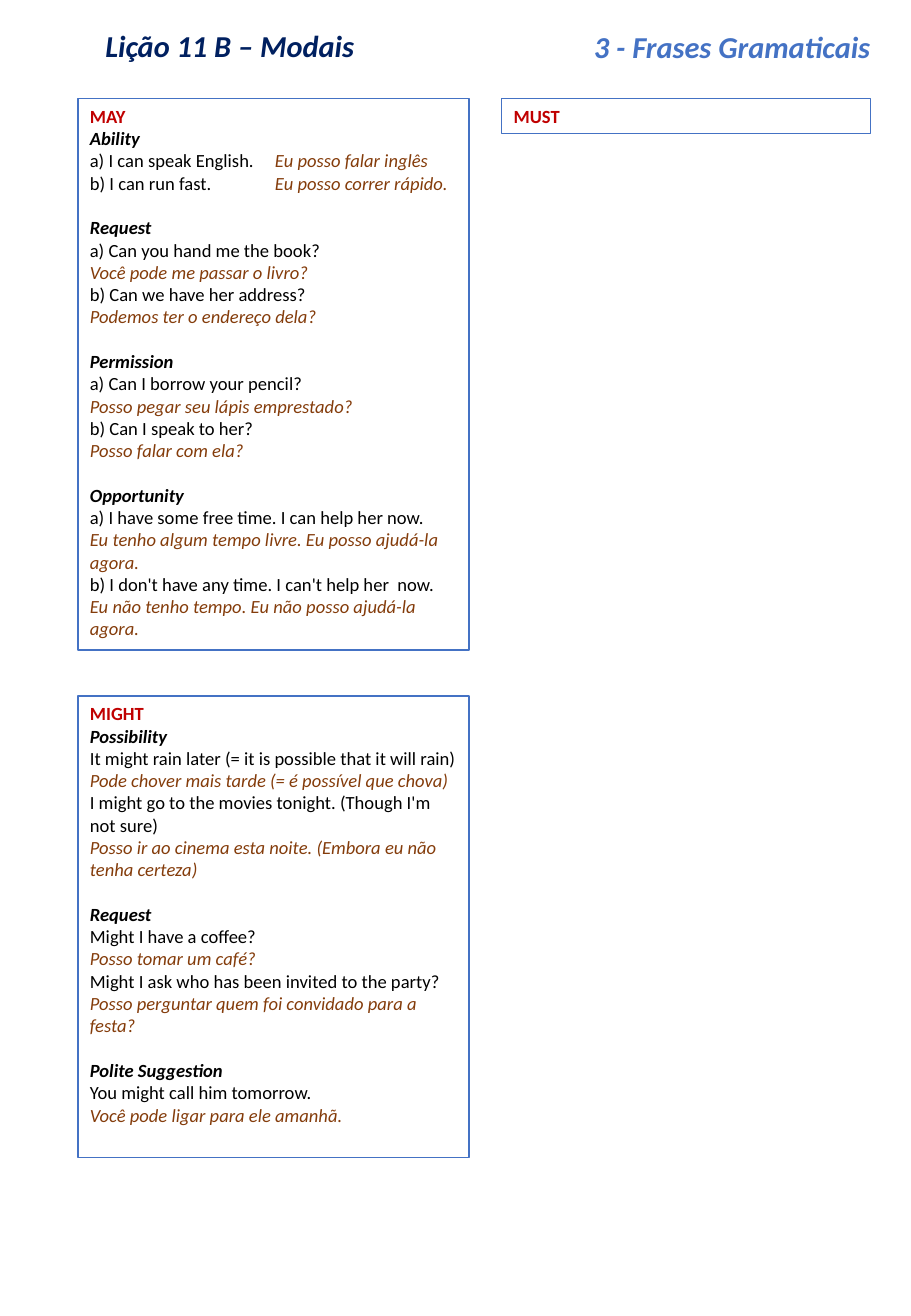
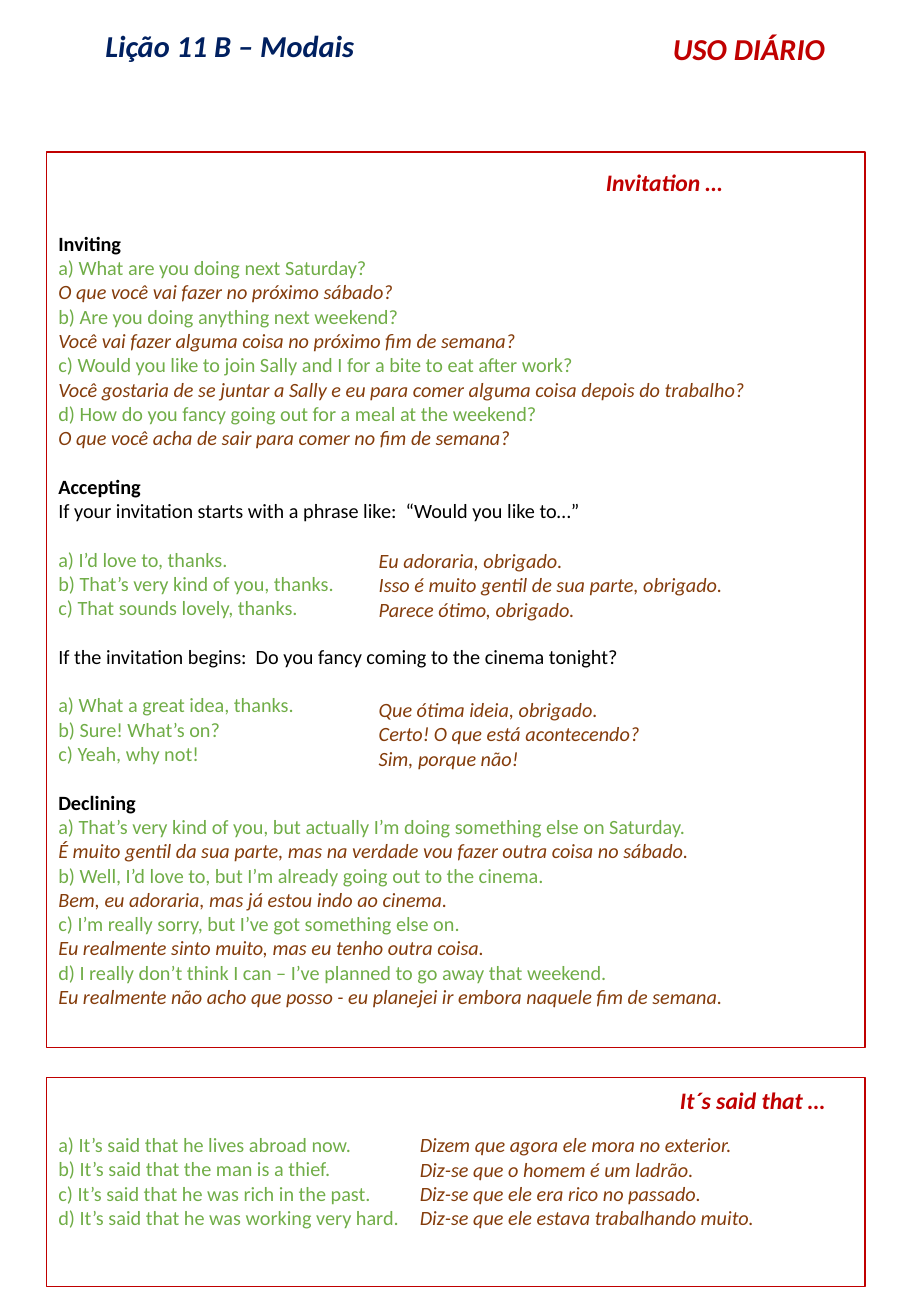
"""Build two pages of an English lesson on modals and everyday invitations."""
from lxml.etree import SubElement
from pptx import Presentation
from pptx.dml.color import RGBColor
from pptx.enum.shapes import MSO_SHAPE as SHAPE
from pptx.enum.text import MSO_ANCHOR as ANCHOR, MSO_AUTO_SIZE as AUTO, PP_ALIGN as ALIGN
from pptx.oxml.ns import qn
from pptx.util import Cm, Pt

FONT = "Calibri"
COLORS = {
    "navy": "002060",
    "blue": "4472C4",
    "red": "C00000",
    "black": "000000",
    "brown": "843C0B",
    "green": "70AD47",
}
STYLES = {
    "lesson": {"color": "navy", "bold": True, "italic": True},
    "section": {"color": "blue", "bold": True, "italic": True},
    "daily": {"color": "red", "bold": True, "italic": True},
    "modal": {"color": "red", "bold": True},
    "use": {"color": "black", "bold": True, "italic": True},
    "topic": {"color": "black", "bold": True},
    "plain": {"color": "black"},
    "phrase": {"color": "green"},
    "translation": {"color": "brown", "italic": True},
}
LINE_HEIGHT = 1.2
TRANSLATION_TAB = Cm(3.87)


def add_span(para, text, size=12, color="black", bold=False, italic=False):
    span = para.add_run()
    span.text = text
    span.font.name = FONT
    span.font.size = Pt(size)
    span.font.bold = bold
    span.font.italic = italic
    span.font.color.rgb = RGBColor.from_string(COLORS[color])


def add_panel(page, place, size, blocks, outline=None, top=0.13):
    left, upper, width, height = [Cm(length) for length in place]
    if outline:
        box = page.shapes.add_shape(SHAPE.RECTANGLE, left, upper, width, height)
        box.shadow.inherit = False
        box.fill.background()
        box.line.color.rgb = RGBColor.from_string(COLORS[outline])
        box.line.width = Pt(0.75)
    else:
        box = page.shapes.add_textbox(left, upper, width, height)
    frame = box.text_frame
    frame.word_wrap = True
    frame.vertical_anchor = ANCHOR.TOP
    frame.margin_top = Cm(top)
    para = frame.paragraphs[0]
    for block_index, block in enumerate(blocks):
        for line_index, (style, text) in enumerate(block):
            if block_index or line_index:
                para = frame.add_paragraph()
            para.alignment = ALIGN.LEFT
            if block_index and line_index == 0:
                para.space_before = Pt(round(size * LINE_HEIGHT, 1))
            english, tab, portuguese = text.partition("\t")
            add_span(para, english + tab, size, **STYLES[style])
            if tab:
                tabs = SubElement(para._p.get_or_add_pPr(), qn("a:tabLst"))
                SubElement(tabs, qn("a:tab"), pos=str(TRANSLATION_TAB), algn="l")
                add_span(para, portuguese, size, **STYLES["translation"])


may_blocks = [
    [
        ("modal", "MAY"),
        ("use", "Ability"),
        ("plain", "a) I can speak English.\tEu posso falar inglês"),
        ("plain", "b) I can run fast.\tEu posso correr rápido."),
    ],
    [
        ("use", "Request"),
        ("plain", "a) Can you hand me the book?"),
        ("translation", "Você pode me passar o livro?"),
        ("plain", "b) Can we have her address?"),
        ("translation", "Podemos ter o endereço dela?"),
    ],
    [
        ("use", "Permission"),
        ("plain", "a) Can I borrow your pencil?"),
        ("translation", "Posso pegar seu lápis emprestado?"),
        ("plain", "b) Can I speak to her?"),
        ("translation", "Posso falar com ela?"),
    ],
    [
        ("use", "Opportunity"),
        ("plain", "a) I have some free time. I can help her now."),
        ("translation", "Eu tenho algum tempo livre. Eu posso ajudá-la agora."),
        ("plain", "b) I don't have any time. I can't help her  now."),
        ("translation", "Eu não tenho tempo. Eu não posso ajudá-la agora."),
    ],
]
might_blocks = [
    [
        ("modal", "MIGHT"),
        ("use", "Possibility"),
        ("plain", "It might rain later (= it is possible that it will rain)"),
        ("translation", "Pode chover mais tarde (= é possível que chova)"),
        ("plain", "I might go to the movies tonight. (Though I'm not sure)"),
        ("translation", "Posso ir ao cinema esta noite. (Embora eu não tenha certeza)"),
    ],
    [
        ("use", "Request"),
        ("plain", "Might I have a coffee?"),
        ("translation", "Posso tomar um café?"),
        ("plain", "Might I ask who has been invited to the party?"),
        ("translation", "Posso perguntar quem foi convidado para a festa?"),
    ],
    [
        ("use", "Polite Suggestion"),
        ("plain", "You might call him tomorrow."),
        ("translation", "Você pode ligar para ele amanhã."),
    ],
]
invitation_blocks = [
    [
        ("topic", "Inviting"),
        ("phrase", "a) What are you doing next Saturday?"),
        ("translation", "O que você vai fazer no próximo sábado?"),
        ("phrase", "b) Are you doing anything next weekend?"),
        ("translation", "Você vai fazer alguma coisa no próximo fim de semana?"),
        ("phrase", "c) Would you like to join Sally and I for a bite to eat after work?"),
        ("translation", "Você gostaria de se juntar a Sally e eu para comer alguma coisa depois do trabalho?"),
        ("phrase", "d) How do you fancy going out for a meal at the weekend?"),
        ("translation", "O que você acha de sair para comer no fim de semana?"),
    ],
    [
        ("topic", "Accepting"),
        ("plain", "If your invitation starts with a phrase like:  “Would you like to…”"),
    ],
    [
        ("phrase", "a) I’d love to, thanks."),
        ("phrase", "b) That’s very kind of you, thanks."),
        ("phrase", "c) That sounds lovely, thanks."),
    ],
    [("plain", "If the invitation begins:  Do you fancy coming to the cinema tonight?")],
    [
        ("phrase", "a) What a great idea, thanks."),
        ("phrase", "b) Sure! What’s on?"),
        ("phrase", "c) Yeah, why not!"),
    ],
    [
        ("topic", "Declining"),
        ("phrase", "a) That’s very kind of you, but actually I’m doing something else on Saturday."),
        ("translation", "É muito gentil da sua parte, mas na verdade vou fazer outra coisa no sábado."),
        ("phrase", "b) Well, I’d love to, but I’m already going out to the cinema."),
        ("translation", "Bem, eu adoraria, mas já estou indo ao cinema."),
        ("phrase", "c) I’m really sorry, but I’ve got something else on."),
        ("translation", "Eu realmente sinto muito, mas eu tenho outra coisa."),
        ("phrase", "d) I really don’t think I can – I’ve planned to go away that weekend."),
        ("translation", "Eu realmente não acho que posso - eu planejei ir embora naquele fim de semana."),
    ],
]
said_blocks = [
    [
        ("phrase", "a) It’s said that he lives abroad now."),
        ("phrase", "b) It’s said that the man is a thief."),
        ("phrase", "c) It’s said that he was rich in the past."),
        ("phrase", "d) It’s said that he was working very hard."),
    ],
]
love_answers = [
    [
        ("translation", "Eu adoraria, obrigado."),
        ("translation", "Isso é muito gentil de sua parte, obrigado."),
        ("translation", "Parece ótimo, obrigado."),
    ],
]
idea_answers = [
    [
        ("translation", "Que ótima ideia, obrigado."),
        ("translation", "Certo! O que está acontecendo?"),
        ("translation", "Sim, porque não!"),
    ],
]
said_answers = [
    [
        ("translation", "Dizem que agora ele mora no exterior."),
        ("translation", "Diz-se que o homem é um ladrão."),
        ("translation", "Diz-se que ele era rico no passado."),
        ("translation", "Diz-se que ele estava trabalhando muito."),
    ],
]

deck = Presentation()
deck.slide_width = Cm(19.05)
deck.slide_height = Cm(27.51)
pages = []
for number in range(2):
    page = deck.slides.add_slide(deck.slide_layouts[5])
    title = page.shapes.title
    title.left, title.top, title.width, title.height = Cm(1.91), Cm(0.43), Cm(5.79), Cm(1.02)
    frame = title.text_frame
    frame.auto_size = AUTO.NONE
    frame.word_wrap = False
    frame.vertical_anchor = ANCHOR.TOP
    frame.paragraphs[0].alignment = ALIGN.CENTER
    add_span(frame.paragraphs[0], "Lição 11 B – Modais", 18, **STYLES["lesson"])
    pages.append(page)
grammar, daily = pages

add_panel(grammar, (12.17, 0.46, 6.6, 1.02), 18, [[("section", "3 - Frases Gramaticais")]])
add_panel(grammar, (1.63, 2.06, 8.18, 11.53), 11, may_blocks, outline="blue")
add_panel(grammar, (10.49, 2.06, 7.72, 0.74), 11, [[("modal", "MUST")]], outline="blue")
add_panel(grammar, (1.63, 14.55, 8.18, 9.65), 11, might_blocks, outline="blue")

add_panel(daily, (13.82, 0.51, 4.6, 1.02), 18, [[("daily", "USO DIÁRIO")]])
add_panel(daily, (0.97, 3.18, 17.12, 18.72), 12, invitation_blocks, outline="red", top=1.65)
add_panel(daily, (0.97, 22.53, 17.12, 4.37), 12, said_blocks, outline="red", top=1.14)
add_panel(daily, (12.42, 3.38, 5.11, 1.45), 14, [[("daily", "Invitation …")]])
add_panel(daily, (13.97, 22.56, 3.68, 0.86), 14, [[("daily", "It´s said that …")]])
add_panel(daily, (7.67, 11.33, 9.12, 1.8), 12, love_answers)
add_panel(daily, (7.67, 14.45, 7.62, 1.8), 12, idea_answers)
add_panel(daily, (8.53, 23.55, 8, 2.31), 12, said_answers)

deck.save("out.pptx")
